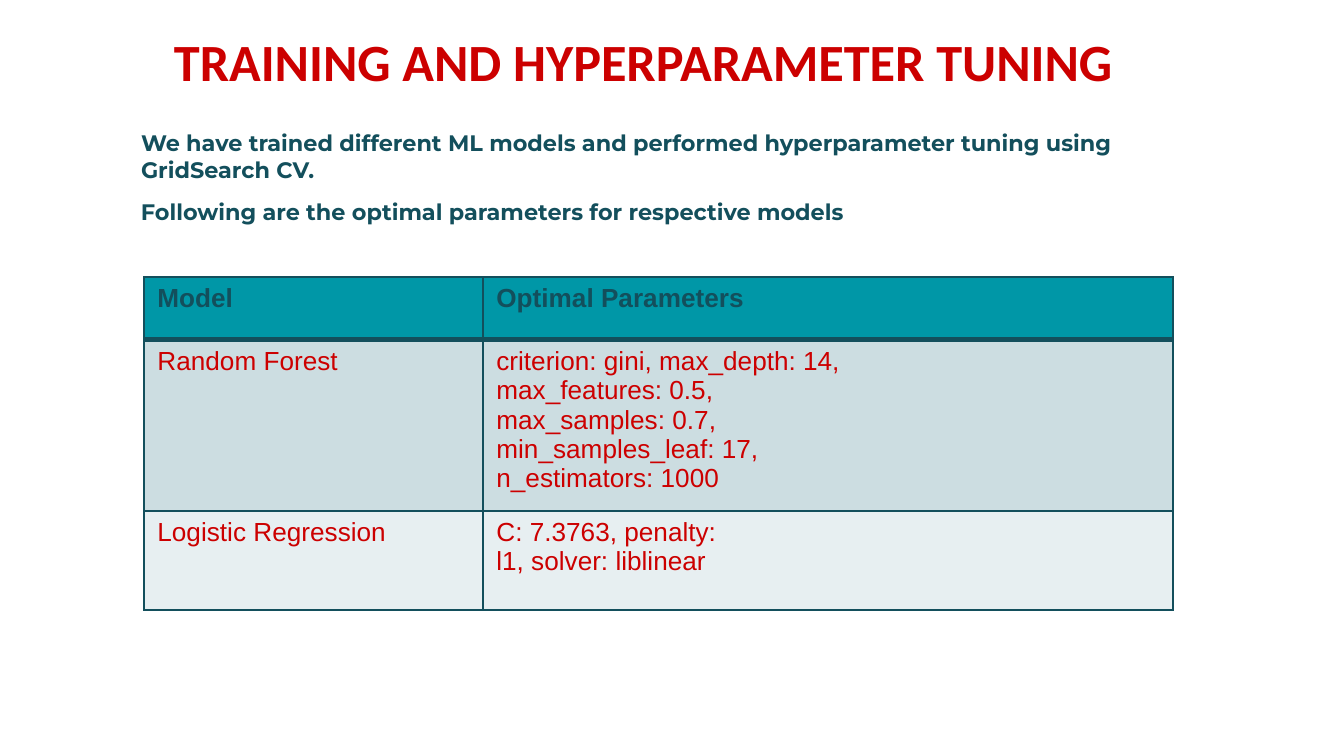
from lxml.etree import SubElement
from pptx import Presentation
from pptx.dml.color import RGBColor
from pptx.oxml.ns import qn
from pptx.util import Emu, Pt

COLORS = {"red": "CC0000", "ink": "134F5C", "teal": "0097A7",
          "band": "CCDDE1", "pale": "E7EFF1"}

# text, (left, top, width, height) in px, font, size, color, inset in px
TEXTS = [
    ("TRAINING AND HYPERPARAMETER TUNING",
     (161, 16, 1021, 93), "Calibri", 28, "red", 13),
    ("We have trained different ML models and performed hyperparameter tuning "
     "using GridSearch CV.", (128, 122, 1007, 67), "Montserrat", 12, "ink", 7),
    ("Following are the optimal parameters for respective models",
     (128, 191, 879, 40), "Montserrat", 12, "ink", 7),
]
# cells, height in px, fill, text color, bold, top and bottom border in pt
ROWS = [
    (("Model", "Optimal Parameters"), 63, "teal", "ink", True, 1, 3),
    (("Random Forest",
      "criterion: gini, max_depth: 14,\nmax_features: 0.5,\nmax_samples: 0.7,\n"
      "min_samples_leaf: 17,\nn_estimators: 1000"), 171, "band", "red", False, 3, 1),
    (("Logistic Regression", "C: 7.3763, penalty:\nl1, solver: liblinear"),
     99, "pale", "red", False, 1, 1),
]
COLUMN_WIDTHS = (339, 690)
TABLE_LEFT, TABLE_TOP = 144, 277
SIDE_INSET = 13


def px(length):
    return Emu(round(length * 914400 / 134.4))


def rgb(name):
    return RGBColor.from_string(COLORS[name])


def style(frame, font, size, color, bold):
    for para in frame.paragraphs:
        for span in para.runs:
            span.font.name = font
            span.font.size = Pt(size)
            span.font.bold = bold
            span.font.color.rgb = rgb(color)


def add_borders(cell, top, bottom):
    properties = cell._tc.get_or_add_tcPr()
    for side, width in (("L", 1), ("R", 1), ("T", top), ("B", bottom)):
        line = SubElement(properties, qn(f"a:ln{side}"), w=str(Pt(width)))
        fill = SubElement(line, qn("a:solidFill"))
        SubElement(fill, qn("a:srgbClr"), val=COLORS["ink"])


def add_text(page, text, place, font, size, color, inset):
    box = page.shapes.add_textbox(*map(px, place))
    frame = box.text_frame
    frame.word_wrap = True
    frame.margin_top = frame.margin_bottom = px(inset)
    frame.margin_left = frame.margin_right = px(SIDE_INSET)
    frame.text = text
    style(frame, font, size, color, True)


def add_parameter_table(page):
    height = sum(row[1] for row in ROWS)
    place = (TABLE_LEFT, TABLE_TOP, sum(COLUMN_WIDTHS), height)
    table = page.shapes.add_table(
        len(ROWS), len(COLUMN_WIDTHS), *map(px, place)).table
    for column, width in zip(table.columns, COLUMN_WIDTHS):
        column.width = px(width)
    for row, (texts, height, fill, color, bold, top, bottom) in zip(table.rows, ROWS):
        row.height = px(height)
        for cell, text in zip(row.cells, texts):
            cell.text_frame.text = text
            style(cell.text_frame, "Arial", 14, color, bold)
            add_borders(cell, top, bottom)
            cell.fill.solid()
            cell.fill.fore_color.rgb = rgb(fill)


def main():
    deck = Presentation()
    deck.slide_width, deck.slide_height = px(1344), px(756)
    page = deck.slides.add_slide(deck.slide_layouts[6])
    for item in TEXTS:
        add_text(page, *item)
    add_parameter_table(page)
    deck.save("out.pptx")


if __name__ == "__main__":
    main()
